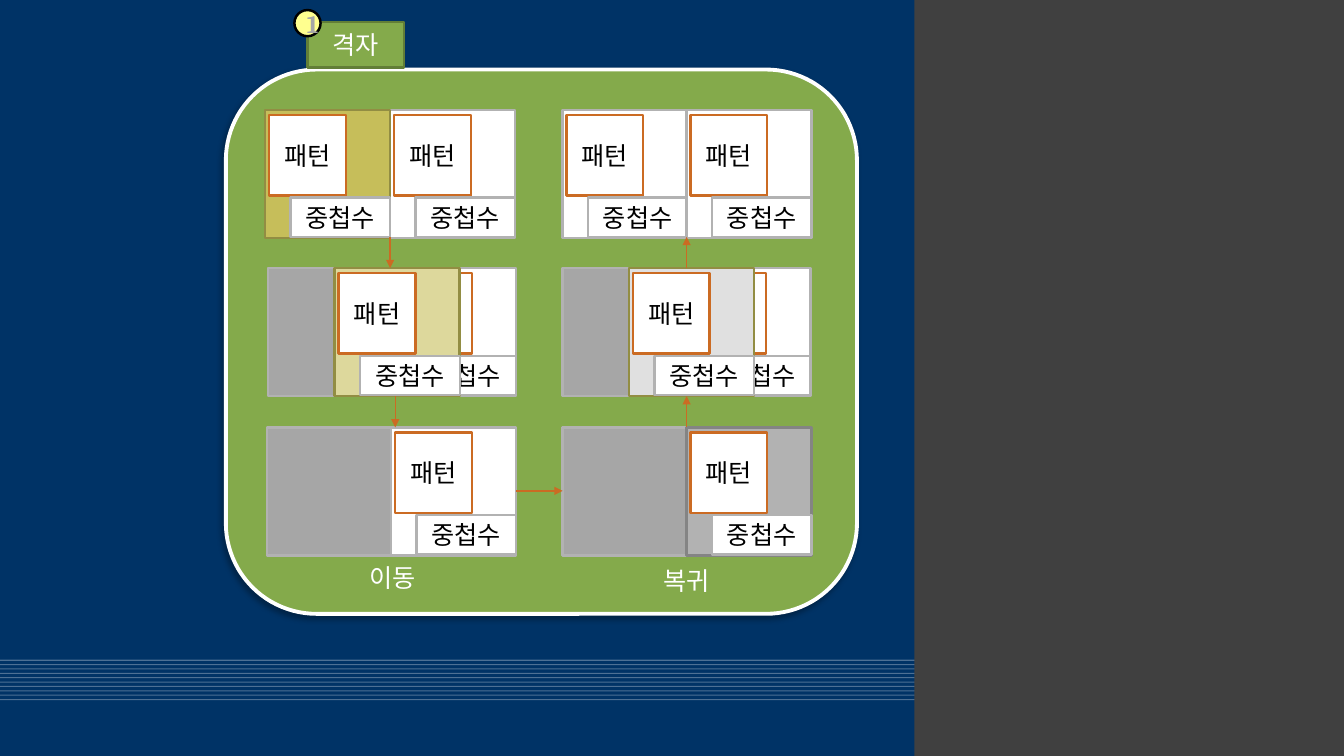
from dataclasses import dataclass

from lxml.etree import SubElement
from pptx import Presentation
from pptx.dml.color import RGBColor
from pptx.enum.shapes import MSO_CONNECTOR, MSO_SHAPE
from pptx.enum.text import MSO_ANCHOR, MSO_AUTO_SIZE, PP_ALIGN
from pptx.oxml.ns import qn
from pptx.util import Inches, Pt


@dataclass(frozen=True)
class Theme:
    navy: str = "003366"
    side: str = "404040"
    green: str = "84AA4B"
    dark_green: str = "627E37"
    yellow: str = "FFFF8F"
    white: str = "FFFFFF"
    black: str = "000000"
    empty: str = "A6A6A6"
    border: str = "B2B2B2"
    dark_border: str = "848484"
    olive: str = "928D43"
    picked: str = "C6BE5A"
    moving: str = "DDD89C"
    returning: str = "E0E0E0"
    orange: str = "CB6B23"
    latin: str = "Cambria"
    hangul: str = "Noto Sans CJK KR"
    size: float = 18
    outline: float = 1.75


T = Theme()


@dataclass(frozen=True)
class Cell:
    left: float
    row: int
    fill: str = T.white
    line: str = T.border
    has_pattern: bool = True


@dataclass(frozen=True)
class Arrow:
    x1: float
    y1: float
    x2: float
    y2: float


ROW_TOPS = (1.09, 2.66, 4.24)
CELL_W, CELL_H = 1.24, 1.27

# Cells from back to front
CELLS = (
    Cell(3.88, 1),
    Cell(2.66, 1, T.empty, has_pattern=False),
    Cell(3.32, 1, T.moving, T.olive),
    Cell(2.65, 2, T.empty, has_pattern=False),
    Cell(3.88, 2),
    Cell(5.58, 2, T.empty, has_pattern=False),
    Cell(6.81, 2, T.border, T.dark_border),
    Cell(6.80, 1),
    Cell(5.58, 1, T.empty, has_pattern=False),
    Cell(6.24, 1, T.returning, T.olive),
    Cell(3.87, 0),
    Cell(2.63, 0, T.picked, T.olive),
    Cell(5.58, 0),
    Cell(6.81, 0),
)
ARROWS = (
    Arrow(3.87, 2.35, 3.87, 2.66),
    Arrow(3.92, 3.93, 3.92, 4.24),
    Arrow(5.12, 4.87, 5.58, 4.87),
    Arrow(6.81, 4.24, 6.81, 3.93),
    Arrow(6.81, 2.66, 6.81, 2.35),
)


def rgb(color: str) -> RGBColor:
    return RGBColor.from_string(color)


def add_text(sp, text: str, color: str, latin: str = T.latin, bold: bool = False):
    tf = sp.text_frame
    tf.word_wrap = True
    p = tf.paragraphs[0]
    p.alignment = PP_ALIGN.CENTER
    r = p.add_run()
    r.text = text
    r.font.size = Pt(T.size)
    r.font.bold = bold
    r.font.name = latin
    r.font.color.rgb = rgb(color)
    SubElement(r._r.rPr, qn("a:ea"), typeface=T.hangul)
    return r


def add_box(s, kind, left: float, top: float, width: float, height: float,
            fill: str, line: str = "", weight: float = T.outline):
    sp = s.shapes.add_shape(kind, Inches(left), Inches(top), Inches(width), Inches(height))
    sp.shadow.inherit = False
    sp.fill.solid()
    sp.fill.fore_color.rgb = rgb(fill)
    if line:
        sp.line.color.rgb = rgb(line)
        sp.line.width = Pt(weight)
    else:
        sp.line.fill.background()
    sp.text_frame.vertical_anchor = MSO_ANCHOR.MIDDLE
    return sp


def add_line(s, x1: float, y1: float, x2: float, y2: float, color: str, weight: float):
    c = s.shapes.add_connector(MSO_CONNECTOR.STRAIGHT, Inches(x1), Inches(y1),
                               Inches(x2), Inches(y2))
    c.line.color.rgb = rgb(color)
    c.line.width = Pt(weight)
    SubElement(c._element.spPr, qn("a:effectLst"))
    return c


def add_stripe(s, y: float) -> None:
    c = add_line(s, 10.41, y, 0, y, T.white, 0.75)
    color = c._element.spPr.find(".//" + qn("a:srgbClr"))
    SubElement(color, qn("a:alpha"), val="30000")


def add_arrow(s, a: Arrow) -> None:
    c = add_line(s, a.x1, a.y1, a.x2, a.y2, T.orange, 1)
    SubElement(c._element.spPr.find(qn("a:ln")), qn("a:tailEnd"), type="triangle")


def add_cell(s, cell: Cell) -> None:
    top = ROW_TOPS[cell.row]
    add_box(s, MSO_SHAPE.RECTANGLE, cell.left, top, CELL_W, CELL_H, cell.fill, cell.line)
    if cell.has_pattern:
        sp = add_box(s, MSO_SHAPE.RECTANGLE, cell.left + 0.04, top + 0.05, 0.76, 0.8,
                     T.white, T.orange)
        add_text(sp, "패턴", T.black)
        sp = add_box(s, MSO_SHAPE.RECTANGLE, cell.left + 0.25, top + 0.87, 0.99, 0.39,
                     T.white, T.border)
        add_text(sp, "중첩수", T.black)


def add_caption(s, left: float, top: float, text: str) -> None:
    sp = s.shapes.add_textbox(Inches(left), Inches(top), Inches(CELL_W), Inches(0.4))
    add_text(sp, text, T.white)
    sp.text_frame.auto_size = MSO_AUTO_SIZE.SHAPE_TO_FIT_TEXT


def add_panel(s) -> None:
    sp = add_box(s, MSO_SHAPE.ROUNDED_RECTANGLE, 2.24, 0.69, 6.26, 5.4,
                 T.green, T.white, 2.75)
    effects = sp._element.spPr.find(qn("a:effectLst"))
    shadow = SubElement(effects, qn("a:outerShdw"), blurRad=str(Pt(4)), dist=str(Pt(3)),
                        dir=str(135 * 60000), algn="tl", rotWithShape="0")
    color = SubElement(shadow, qn("a:srgbClr"), val=T.black)
    SubElement(color, qn("a:alpha"), val="30000")


def add_badge(s) -> None:
    sp = add_box(s, MSO_SHAPE.OVAL, 2.92, 0.1, 0.26, 0.26, T.yellow, T.black)
    r = add_text(sp, "1", T.empty, bold=True)
    # The outline comes before the fill in the run properties
    ln = SubElement(r._r.rPr, qn("a:ln"), w=str(Pt(0.75)))
    SubElement(SubElement(ln, qn("a:solidFill")), qn("a:srgbClr"), val=T.black)
    r._r.rPr.insert(0, ln)


def main() -> None:
    prs = Presentation()
    prs.slide_width, prs.slide_height = Inches(13.33), Inches(7.5)
    s = prs.slides.add_slide(prs.slide_layouts[6])

    # Background, stripes and side band
    s.background.fill.solid()
    s.background.fill.fore_color.rgb = rgb(T.navy)
    for i in range(10):
        add_stripe(s, 6.55 + i * 0.39 / 9)
    add_box(s, MSO_SHAPE.RECTANGLE, 9.07, 0, 4.26, 7.5, T.side)

    # Green panel with its tab and number
    add_panel(s)
    tab = add_box(s, MSO_SHAPE.RECTANGLE, 3.05, 0.22, 0.96, 0.45, T.green, T.dark_green)
    add_text(tab, "격자", T.white, T.hangul)
    add_badge(s)

    # Grid states, captions and flow
    for cell in CELLS:
        add_cell(s, cell)
    add_caption(s, 3.27, 5.53, "이동")
    add_caption(s, 6.19, 5.56, "복귀")
    for arrow in ARROWS:
        add_arrow(s, arrow)

    prs.save("out.pptx")


if __name__ == "__main__":
    main()
